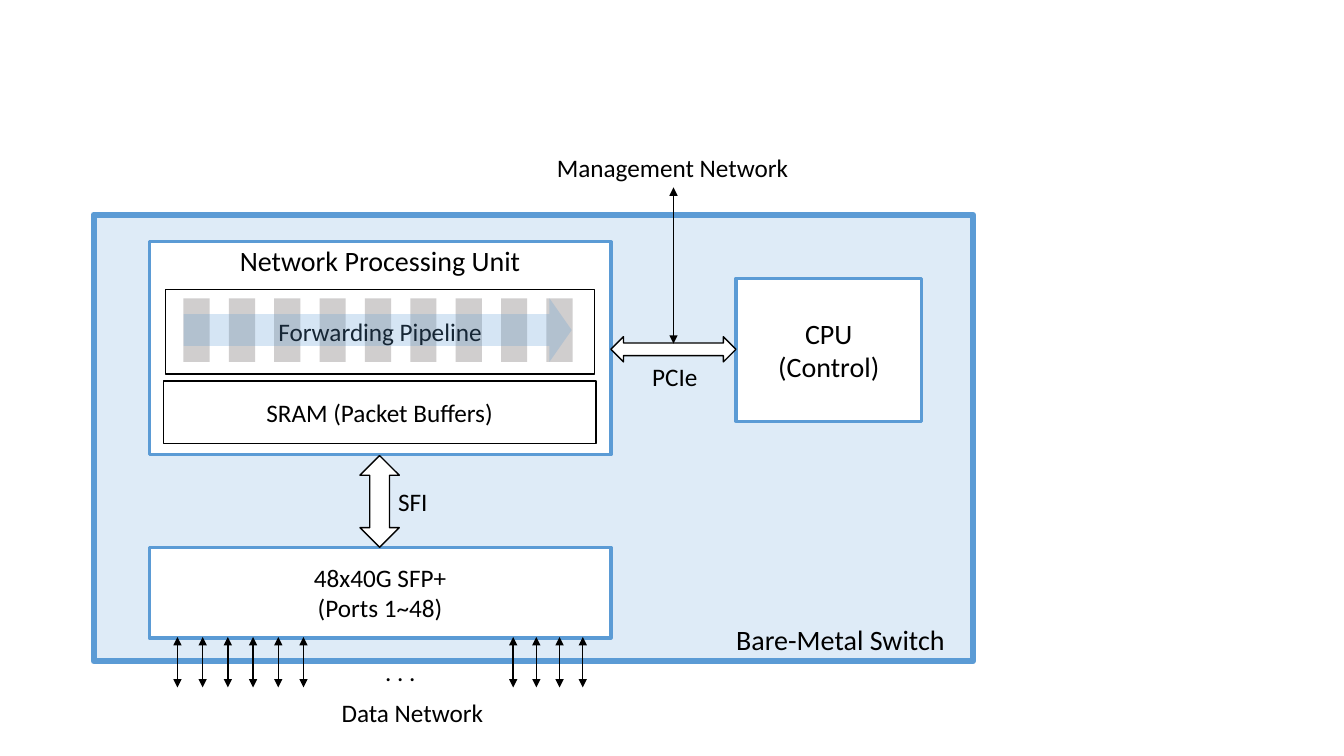
from lxml import etree
from pptx import Presentation
from pptx.dml.color import RGBColor
from pptx.enum.shapes import MSO_CONNECTOR, MSO_SHAPE
from pptx.enum.text import MSO_ANCHOR, MSO_AUTO_SIZE, PP_ALIGN
from pptx.oxml.ns import qn
from pptx.util import Inches, Pt

RECT = MSO_SHAPE.RECTANGLE
ACROSS = MSO_SHAPE.LEFT_RIGHT_ARROW
UPDOWN = MSO_SHAPE.UP_DOWN_ARROW
ARROW = MSO_SHAPE.RIGHT_ARROW
STRAIGHT = MSO_CONNECTOR.STRAIGHT
TOP, MIDDLE, BOTTOM = MSO_ANCHOR.TOP, MSO_ANCHOR.MIDDLE, MSO_ANCHOR.BOTTOM
LEFT, CENTER, RIGHT = PP_ALIGN.LEFT, PP_ALIGN.CENTER, PP_ALIGN.RIGHT
FIT = MSO_AUTO_SIZE.SHAPE_TO_FIT_TEXT
FONT = "Calibri"
COLORS = {
    "black": "000000",
    "white": "FFFFFF",
    "blue": "5B9BD5",
    "pale": "DEEBF7",
    "gray": "D0CECE",
}


def color(name):
    """Return the named colour."""
    return RGBColor.from_string(COLORS[name])


def write(frame, lines, size, align):
    """Write each line as a paragraph of one run."""
    for i, line in enumerate(lines):
        para = frame.paragraphs[0] if i == 0 else frame.add_paragraph()
        para.alignment = align
        run = para.add_run()
        run.text = line
        run.font.name = FONT
        run.font.size = Pt(size)
        run.font.color.rgb = color("black")


def add_form(slide, kind, place, fill=None, line=None, width=1):
    """Add a preset shape with a plain fill and outline."""
    form = slide.shapes.add_shape(kind, *map(Inches, place))
    form.shadow.inherit = False
    if fill:
        form.fill.solid()
        form.fill.fore_color.rgb = color(fill)
    else:
        form.fill.background()
    if line:
        form.line.color.rgb = color(line)
        form.line.width = Pt(width)
    else:
        form.line.fill.background()
    return form


def add_box(slide, place, lines, size, fill="white", line="blue", width=2.25,
            anchor=MIDDLE, align=CENTER):
    """Add a rectangle that holds text."""
    box = add_form(slide, RECT, place, fill, line, width)
    box.text_frame.vertical_anchor = anchor
    write(box.text_frame, lines, size, align)
    return box


def add_label(slide, place, text, align=LEFT):
    """Add a one-line text label."""
    frame = slide.shapes.add_textbox(*map(Inches, place)).text_frame
    frame.word_wrap = False
    frame.auto_size = FIT
    write(frame, [text], 18, align)


def add_link(slide, x, top, end):
    """Add an upright line with an arrowhead at both ends."""
    link = slide.shapes.add_connector(
        STRAIGHT, Inches(x), Inches(top), Inches(x), Inches(end))
    link.line.color.rgb = color("black")
    link.line.width = Pt(1)
    line = link.line._get_or_add_ln()
    for tag in ("a:headEnd", "a:tailEnd"):
        etree.SubElement(line, qn(tag), type="triangle")
    etree.SubElement(link._element.spPr, qn("a:effectLst"))


def add_pipe(slide):
    """Add the pipeline stages, their frame and the flow arrow."""
    for i in range(9):
        add_form(slide, RECT, (1.82 + 0.45 * i, 2.96, 0.26, 0.63), "gray")
    add_box(slide, (1.64, 2.87, 4.26, 0.84), ["Forwarding Pipeline"], 18,
            fill=None, line="black", width=1)
    flow = add_form(slide, ARROW, (1.82, 2.96, 3.85, 0.63), "blue")
    flow.adjustments[1] = 0.35
    tint = flow._element.spPr.find(qn("a:solidFill"))[0]
    etree.SubElement(tint, qn("a:alpha"), val="25000")


def add_ports(slide):
    """Add the two groups of port arrows."""
    for start, step, count in ((1.76, 0.25, 6), (5.09, 0.23, 4)):
        for i in range(count):
            add_link(slide, start + step * i, 6.32, 6.82)


def main():
    """Build the slide and save it."""
    deck = Presentation()
    deck.slide_width, deck.slide_height = Inches(13.33), Inches(7.5)
    slide = deck.slides.add_slide(deck.slide_layouts[6])

    switch = add_box(slide, (0.93, 2.13, 8.72, 4.43), ["Bare-Metal Switch"],
                     20, fill="pale", width=4.5, anchor=BOTTOM, align=RIGHT)
    switch.text_frame.margin_right = Inches(0.28)
    add_box(slide, (7.3, 2.76, 1.84, 1.42), ["CPU", "(Control)"], 20)
    unit = add_box(slide, (1.48, 2.4, 4.58, 2.11),
                   ["Network Processing Unit"], 20, anchor=TOP)
    unit.text_frame.paragraphs[0].line_spacing = 0.9
    add_box(slide, (1.48, 5.43, 4.58, 0.9),
            ["48x40G SFP+", "(Ports 1~48)"], 18)
    add_box(slide, (1.62, 3.78, 4.29, 0.62), ["SRAM (Packet Buffers)"], 18,
            line="black", width=1)
    add_pipe(slide)

    add_form(slide, ACROSS, (6.06, 3.34, 1.24, 0.25), "white", "black")
    add_form(slide, UPDOWN, (3.57, 4.52, 0.39, 0.91), "white", "black")
    add_link(slide, 6.68, 1.86, 3.41)
    add_ports(slide)

    add_label(slide, (3.72, 6.46, 0.51, 0.4), ". . .")
    add_label(slide, (3.85, 4.78, 0.5, 0.4), "SFI")
    add_label(slide, (6.37, 3.54, 0.66, 0.4), "PCIe")
    add_label(slide, (3.28, 6.87, 1.62, 0.4), "Data Network", CENTER)
    add_label(slide, (5.41, 1.46, 2.52, 0.4), "Management Network", CENTER)
    deck.save("out.pptx")


if __name__ == "__main__":
    main()
